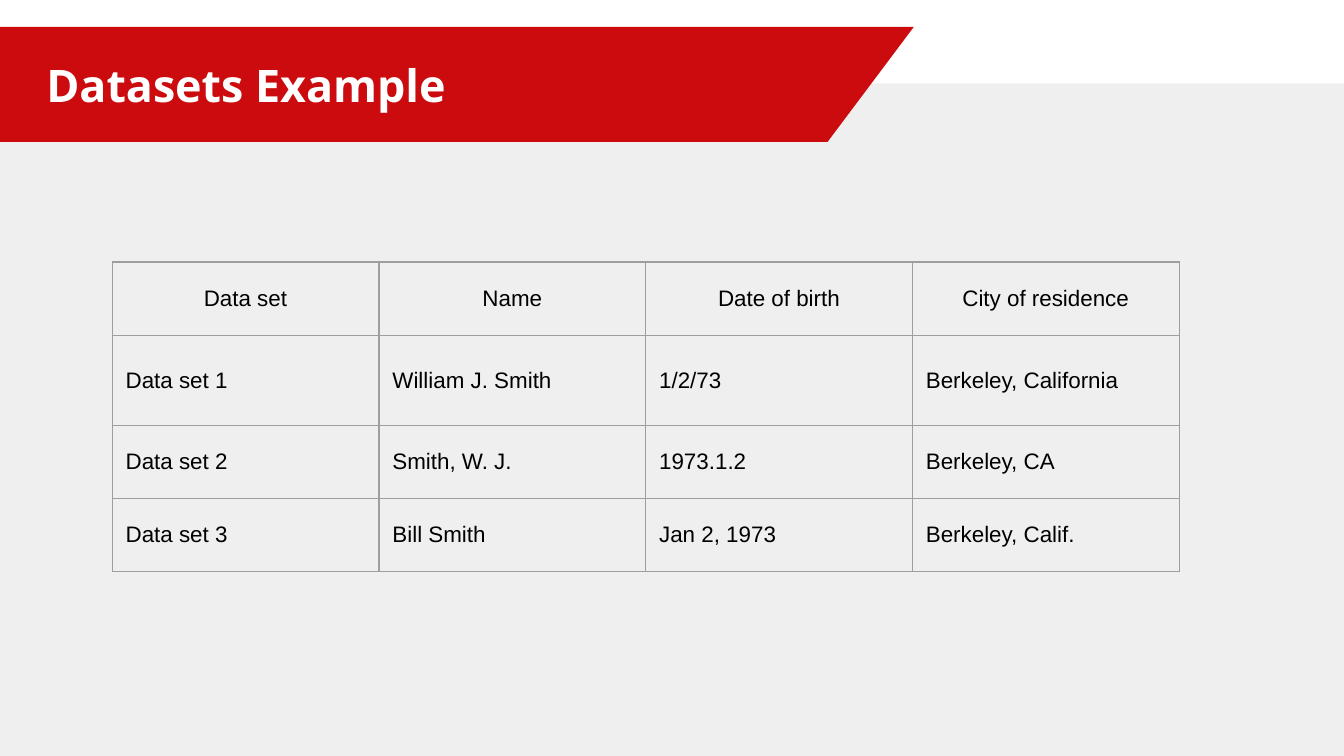
from lxml import etree
from pptx import Presentation
from pptx import util as u
from pptx.dml import color
from pptx.enum import shapes, text
from pptx.oxml import ns

PX = u.Inches(1) // 200
WIDTH, HEIGHT = 2000, 1125
RECORDS = [
    ("Data set", "Name", "Date of birth", "City of residence"),
    ("Data set 1", "William J. Smith", "1/2/73", "Berkeley, California"),
    ("Data set 2", "Smith, W. J.", "1973.1.2", "Berkeley, CA"),
    ("Data set 3", "Bill Smith", "Jan 2, 1973", "Berkeley, Calif."),
]
ROW_HEIGHTS = [109, 134, 109, 109]


def emu(box):
    """Turn px lengths into EMU."""
    return [length * PX for length in box]


def paint(target, hex_color):
    """Give a fill or a font a solid colour."""
    if hasattr(target, "solid"):
        target.solid()
        target.fore_color.rgb = color.RGBColor.from_string(hex_color)
    else:
        target.color.rgb = color.RGBColor.from_string(hex_color)


def add_run(paragraph, words, font, size, hex_color, bold=False):
    """Append one formatted run to a paragraph."""
    run = paragraph.add_run()
    run.text = words
    run.font.name = font
    run.font.size = u.Pt(size)
    run.font.bold = bold
    paint(run.font, hex_color)


def add_panel(slide, preset, box, hex_color):
    """Add a flat, unlined preset shape."""
    panel = slide.shapes.add_shape(preset, *emu(box))
    panel.shadow.inherit = False
    paint(panel.fill, hex_color)
    panel.line.fill.background()
    return panel


def add_banner(slide, box, title):
    """Add the slanted title banner."""
    banner = add_panel(slide, shapes.MSO_SHAPE.PARALLELOGRAM, box, "CC0B0F")
    banner.adjustments[0] = 0.75
    frame = banner.text_frame
    frame.word_wrap = True
    frame.vertical_anchor = text.MSO_ANCHOR.MIDDLE
    frame.margin_left = frame.margin_right = u.Inches(0.1)
    frame.margin_top = frame.margin_bottom = u.Inches(0.1)
    heading = frame.paragraphs[0]
    heading.alignment = text.PP_ALIGN.LEFT
    add_run(heading, title, "Open Sans", 24, "FFFFFF", bold=True)


def add_borders(cell, hex_color, points):
    """Draw all four cell borders ahead of the cell's fill."""
    properties = cell._tc.get_or_add_tcPr()
    for index, side in enumerate(("lnL", "lnR", "lnT", "lnB")):
        border = etree.Element(ns.qn(f"a:{side}"), w=str(u.Pt(points)))
        fill = etree.SubElement(border, ns.qn("a:solidFill"))
        etree.SubElement(fill, ns.qn("a:srgbClr"), val=hex_color)
        properties.insert(index, border)


def add_records(slide, box, records, row_heights):
    """Add the bordered table with a centred heading row."""
    table = slide.shapes.add_table(len(records), len(records[0]), *emu(box)).table
    table.first_row = table.horz_banding = False
    for column in table.columns:
        column.width = box[2] * PX // len(records[0])
    for row, height, record in zip(table.rows, row_heights, records):
        row.height = height * PX
        for cell, words in zip(row.cells, record):
            cell.fill.background()
            add_borders(cell, "9E9E9E", 0.75)
            cell.vertical_anchor = text.MSO_ANCHOR.MIDDLE
            paragraph = cell.text_frame.paragraphs[0]
            is_heading = record is records[0]
            paragraph.alignment = text.PP_ALIGN.CENTER if is_heading else text.PP_ALIGN.LEFT
            add_run(paragraph, words, "Arial", 12, "000000")


def add_datasets_slide(deck, box):
    """Add the slide: backdrop, banner and table, placed within the box."""
    left, top, width, height = box
    slide = deck.slides.add_slide(deck.slide_layouts[6])
    paint(slide.background.fill, "FFFFFF")
    backdrop = (left, top + 124, width, height - 124)
    add_panel(slide, shapes.MSO_SHAPE.RECTANGLE, backdrop, "EFEFEF")
    add_banner(slide, (left - 128, top + 40, 1488, 171), "Datasets Example")
    table_box = (left + 167, top + 390, 1588, sum(ROW_HEIGHTS))
    add_records(slide, table_box, RECORDS, ROW_HEIGHTS)


def main():
    """Build and save the deck."""
    deck = Presentation()
    deck.slide_width, deck.slide_height = emu((WIDTH, HEIGHT))
    add_datasets_slide(deck, (0, 0, WIDTH, HEIGHT))
    deck.save("out.pptx")


if __name__ == "__main__":
    main()
